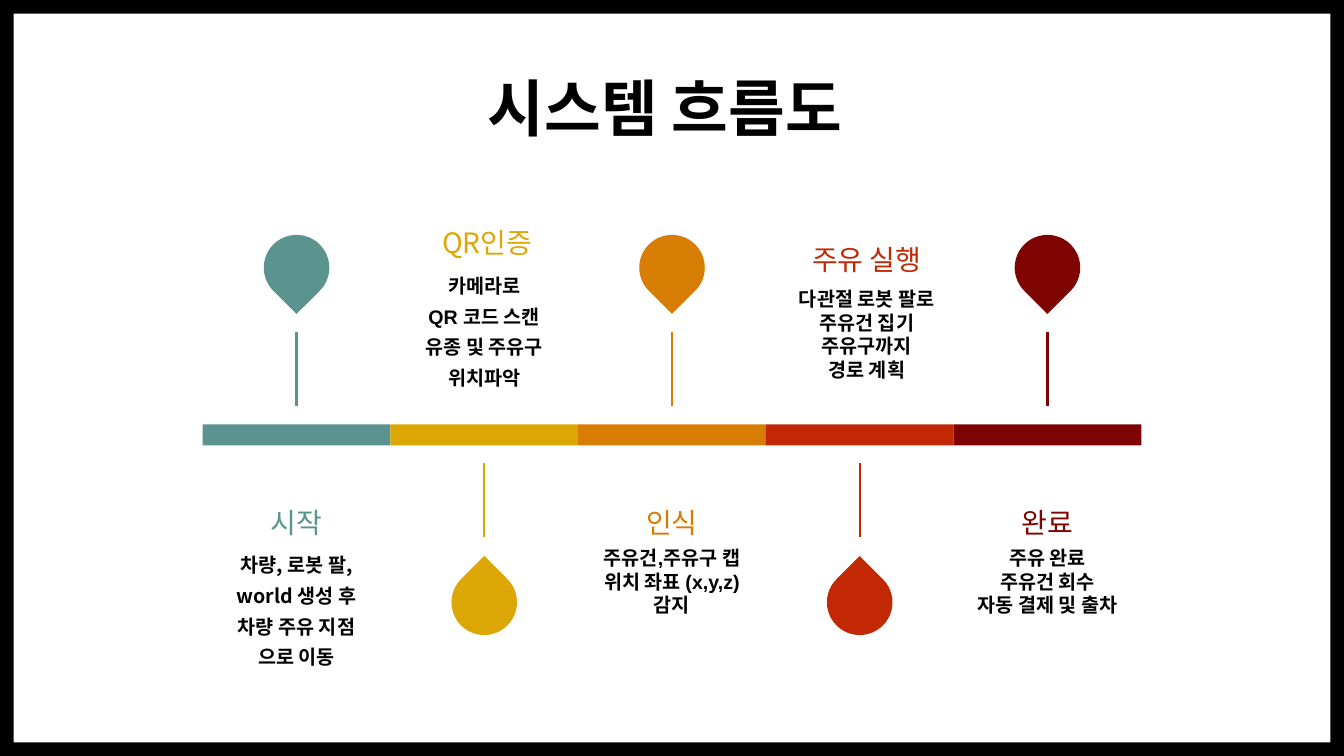
"""Build the five-stage system flow slide."""
import dataclasses

import lxml.etree
import pptx
import pptx.dml.color
import pptx.enum.shapes
import pptx.enum.text
import pptx.oxml.ns
import pptx.util

Inches = pptx.util.Inches
SHAPE = pptx.enum.shapes.MSO_SHAPE
CJK = "Noto Sans CJK KR"
BLACK = "000000"
BAR_LEFT, BAR_TOP, BAR_HEIGHT = 2.01, 4.21, 0.21
STEP = 9.31 / 5
PIN = 0.65


@dataclasses.dataclass
class Stage:
    """One stage of the flow with its texts and their places."""
    color: str
    heading: str
    lines: list[str]
    pin_above: bool
    heading_top: float = 4.97
    body_top: float = 5.37
    body_height: float = 0.81
    heading_shift: float = 0
    body_shift: float = 0
    body_width: float = 1.86
    font: str = "Arial"
    spacing: float = 1.0


STAGES = [
    Stage("5B938F", "시작", ["차량, 로봇 팔, world 생성 후", "차량 주유 지점", "으로 이동"], True,
          body_height=1.29, font=CJK, spacing=1.3),
    Stage("DCA705", "QR인증", ["카메라로", "QR 코드 스캔", "유종 및 주유구", "위치파악"], False,
          heading_top=2.19, body_top=2.6, body_height=1.6, heading_shift=0.03, spacing=1.3),
    Stage("D87D04", "인식", ["주유건,주유구 캡", "위치 좌표 (x,y,z) 감지"], True),
    Stage("C32804", "주유 실행", ["다관절 로봇 팔로", "주유건 집기", "주유구까지", "경로 계획"], False,
          heading_top=2.36, body_top=2.8, body_height=1.04, heading_shift=0.07,
          body_shift=0.07, body_width=2),
    Stage("7E0401", "완료", ["주유 완료", "주유건 회수", "자동 결제 및 출차"], True),
]


def rgb(color: str) -> pptx.dml.color.RGBColor:
    """Turn a hex string into a colour."""
    return pptx.dml.color.RGBColor.from_string(color)


def write(tf, lines: list[str], font: str, size: float, color: str,
          bold: bool = False, spacing: float = 1.0) -> None:
    """Fill a text frame with centred, formatted paragraphs."""
    tf.word_wrap = True
    tf.vertical_anchor = pptx.enum.text.MSO_ANCHOR.TOP
    tf.text = "\n".join(lines)
    for p in tf.paragraphs:
        p.alignment = pptx.enum.text.PP_ALIGN.CENTER
        p.line_spacing = spacing
        p.space_before = pptx.util.Pt(0)
        for r in p.runs:
            r.font.name = font
            r.font.size = pptx.util.Pt(size)
            r.font.bold = bold
            r.font.color.rgb = rgb(color)
            ea = lxml.etree.SubElement(r.font._element, pptx.oxml.ns.qn("a:ea"))
            ea.set("typeface", CJK)


def add_text(s, center: float, top: float, width: float, height: float,
             lines: list[str], font: str, size: float, color: str,
             bold: bool = False, spacing: float = 1.0) -> None:
    """Add a text box centred on a horizontal position."""
    sp = s.shapes.add_textbox(Inches(center - width / 2), Inches(top),
                              Inches(width), Inches(height))
    write(sp.text_frame, lines, font, size, color, bold, spacing)


def add_filled(s, kind, left: float, top: float, width: float, height: float, color: str):
    """Add a plain filled shape."""
    sp = s.shapes.add_shape(kind, Inches(left), Inches(top), Inches(width), Inches(height))
    sp.shadow.inherit = False
    sp.fill.solid()
    sp.fill.fore_color.rgb = rgb(color)
    sp.line.fill.background()
    return sp


def add_stem(s, x: float, bottom: float, top: float, color: str) -> None:
    """Add a vertical line between a pin and the bar."""
    c = s.shapes.add_connector(pptx.enum.shapes.MSO_CONNECTOR.STRAIGHT,
                               Inches(x), Inches(bottom), Inches(x), Inches(top))
    c.line.color.rgb = rgb(color)
    c.line.width = pptx.util.Pt(1.5)
    lxml.etree.SubElement(c._element.spPr, pptx.oxml.ns.qn("a:effectLst"))


def add_stage(s, index: int, stage: Stage) -> None:
    """Draw one stage: bar segment, stem, pin and texts."""
    left = BAR_LEFT + index * STEP
    center = left + STEP / 2
    add_filled(s, SHAPE.RECTANGLE, left, BAR_TOP, STEP, BAR_HEIGHT, stage.color)
    bottom, top, pin_top, turn = (4.03, 3.29, 2.33, 135) if stage.pin_above else (5.33, 4.59, 5.65, 315)
    add_stem(s, center, bottom, top, stage.color)
    pin = add_filled(s, SHAPE.TEAR, center - PIN / 2, pin_top, PIN, PIN, stage.color)
    pin.rotation = turn
    add_text(s, center + stage.heading_shift, stage.heading_top, 1.59, 0.44,
             [stage.heading], CJK, 20, stage.color)
    add_text(s, center + stage.body_shift, stage.body_top, stage.body_width, stage.body_height,
             stage.lines, stage.font, 14, BLACK, True, stage.spacing)


def main() -> None:
    """Build and save the slide."""
    prs = pptx.Presentation()
    prs.slide_width, prs.slide_height = Inches(13.33), Inches(7.5)
    s = prs.slides.add_slide(prs.slide_layouts[5])
    s.background.fill.solid()
    s.background.fill.fore_color.rgb = rgb("FFFFFF")
    frame = add_filled(s, SHAPE.FRAME, 0, 0, 13.33, 7.5, BLACK)
    frame.adjustments[0] = 0.018
    title = s.shapes.title
    title.left, title.top = Inches(2.73), Inches(0.64)
    title.width, title.height = Inches(7.73), Inches(1.58)
    write(title.text_frame, ["시스템 흐름도"], CJK, 44, BLACK, True)
    for index, stage in enumerate(STAGES):
        add_stage(s, index, stage)
    prs.save("out.pptx")


if __name__ == "__main__":
    main()
